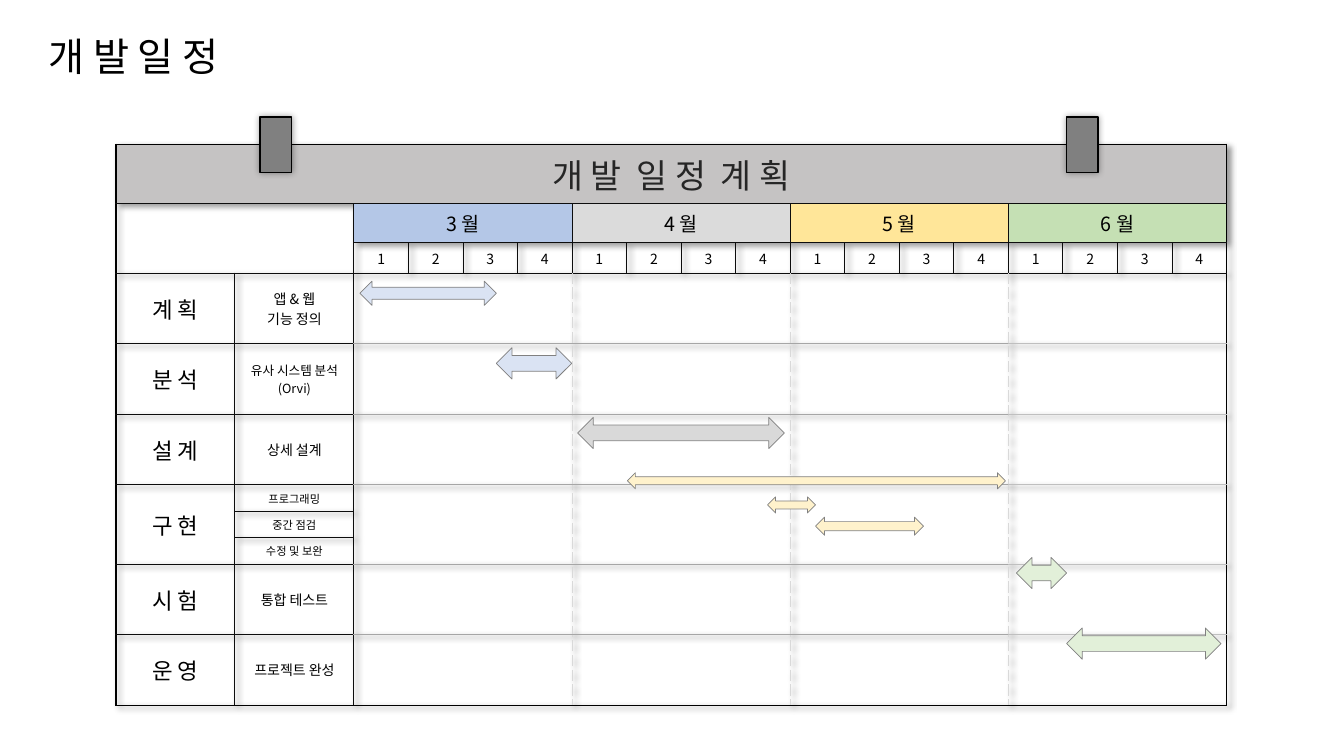
import pptx
import pptx.util
import pptx.dml.color
import pptx.enum.shapes
import pptx.enum.text
import pptx.oxml.ns
from lxml import etree

RGB = pptx.dml.color.RGBColor
INCH, PT = pptx.util.Inches, pptx.util.Pt
ALIGN = pptx.enum.text.PP_ALIGN
MIDDLE = pptx.enum.text.MSO_ANCHOR.MIDDLE
SHAPE = pptx.enum.shapes.MSO_SHAPE
qn = pptx.oxml.ns.qn

FONT = "Noto Sans CJK KR"
BLACK = RGB(0, 0, 0)
INK = RGB(0x0D, 0x0D, 0x0D)
DARK = RGB(0x26, 0x26, 0x26)
GRAY = RGB(0x80, 0x80, 0x80)
BAND = RGB(0xC5, 0xC3, 0xC3)
BLUE = RGB(0xDA, 0xE3, 0xF3)
SILVER = RGB(0xD9, 0xD9, 0xD9)
CREAM = RGB(0xFF, 0xF2, 0xCC)
MINT = RGB(0xE2, 0xF0, 0xD9)

TITLE = "개 발 일 정"
HEAD = "개 발  일 정  계 획"
MONTHS = [
    ("3 월", RGB(0xB4, 0xC7, 0xE7)),
    ("4 월", RGB(0xDB, 0xDB, 0xDB)),
    ("5 월", RGB(0xFF, 0xE6, 0x99)),
    ("6 월", RGB(0xC5, 0xE0, 0xB4)),
]
# phase, tasks, task text size
PHASES = [
    ("계 획", ["앱 & 웹\n기능 정의"], 10),
    ("분 석", ["유사 시스템 분석\n(Orvi)"], 9),
    ("설 계", ["상세 설계"], 10),
    ("구 현", ["프로그래밍", "중간 점검", "수정 및 보완"], 8),
    ("시 험", ["통합 테스트"], 10),
    ("운 영", ["프로젝트 완성"], 10),
]
# first week, last week, top, height, colour
BARS = [
    (0.11, 2.61, 2.79, 0.24, BLUE),
    (2.61, 3.99, 3.45, 0.31, BLUE),
    (4.1, 7.89, 4.14, 0.31, SILVER),
    (13.06, 15.89, 6.23, 0.31, MINT),
    (5.01, 11.94, 4.69, 0.16, CREAM),
    (7.58, 8.46, 4.93, 0.16, CREAM),
    (8.46, 10.44, 5.13, 0.18, CREAM),
    (12.14, 13.06, 5.53, 0.31, MINT),
]
CLIPS = [2.58, 10.58]

LEFT, TOP, WIDTH = 1.15, 1.43, 11.02
LABEL = 1.18
WEEK = (WIDTH - 2 * LABEL) / 16
ROWS = [0.59, 0.39, 0.3] + [0.7] * 3 + [0.26] * 3 + [0.7] * 2
COLS = [LABEL] * 2 + [WEEK] * 16
NO_STYLE = "{2D5ABB26-0587-4C30-8999-92F81FD0307C}"

OUTER, INNER = (BLACK, 1, "solid"), (INK, 0.75, "solid")
DASH = (SILVER, 0.75, "dash")
SOFT = (RGB(0xA6, 0xA6, 0xA6), 0.75, "solid")
PALE = (RGB(0xBF, 0xBF, 0xBF), 1, "solid")


def style(frame, size, color, align):
    for para in frame.paragraphs:
        para.alignment = align
        for run in para.runs:
            run.font.size, run.font.name = PT(size), FONT
            run.font.color.rgb = color
            latin = run.font._element.find(qn("a:latin"))
            latin.addnext(latin.makeelement(qn("a:ea"), {"typeface": FONT}))


def shade(effects, blur, dist, angle):
    drop = etree.SubElement(
        effects, qn("a:outerShdw"), blurRad=str(PT(blur)), dist=str(PT(dist)),
        dir=str(angle * 60000), algn="tl", rotWithShape="0")
    tone = etree.SubElement(drop, qn("a:srgbClr"), val=str(BLACK))
    etree.SubElement(tone, qn("a:alpha"), val="40000")


def upright(row, col):
    """Line on the left edge of a grid cell, or None inside a merged one."""
    if col in (0, 18):
        return OUTER
    if row == 0:
        return None
    if col == 2 or (col == 1 and row > 2):
        return INNER
    if col in (6, 10, 14):
        return INNER if row < 3 else DASH
    return INNER if row == 2 and col > 2 else None


def level(row, col):
    """Line on the top edge of a grid cell, or None inside a merged one."""
    if row in (0, 11):
        return OUTER
    if row in (1, 3):
        return INNER
    if row == 2:
        return INNER if col > 1 else None
    if row in (7, 8):
        return INNER if col == 1 else None
    return INNER if col < 2 else SOFT if col < 14 else PALE


def edge(cell, row, col):
    """Draw the four borders, at the far ends of the span if merged."""
    high, wide = (cell.span_height, cell.span_width) if cell.is_merge_origin else (1, 1)
    props = cell._tc.get_or_add_tcPr()
    lines = [("lnL", upright(row, col)), ("lnR", upright(row, col + wide)),
             ("lnT", level(row, col)), ("lnB", level(row + high, col))]
    kept = [(tag, line) for tag, line in lines if line]
    for spot, (tag, (color, width, dash)) in enumerate(kept):
        ln = props.makeelement(qn("a:" + tag), {"w": str(PT(width))})
        props.insert(spot, ln)
        fill = etree.SubElement(ln, qn("a:solidFill"))
        etree.SubElement(fill, qn("a:srgbClr"), val=str(color))
        etree.SubElement(ln, qn("a:prstDash"), val=dash)


def put(cell, text, size, color=BLACK, fill=None):
    cell.text_frame.text = text
    cell.vertical_anchor = MIDDLE
    style(cell.text_frame, size, color, ALIGN.CENTER)
    if fill is not None:
        cell.fill.solid()
        cell.fill.fore_color.rgb = fill


def plan(slide):
    frame = slide.shapes.add_table(
        len(ROWS), len(COLS), INCH(LEFT), INCH(TOP), INCH(WIDTH), INCH(sum(ROWS)))
    table = frame.table
    table.first_row = table.horz_banding = False
    props = table._tbl.tblPr
    props.find(qn("a:tableStyleId")).text = NO_STYLE
    effects = props.makeelement(qn("a:effectLst"), {})
    props.insert(0, effects)
    shade(effects, 4, 3, 45)
    for row, high in zip(table.rows, ROWS):
        row.height = INCH(high)
    for col, wide in zip(table.columns, COLS):
        col.width = INCH(wide)
    for cell in table.iter_cells():
        cell.fill.background()
        etree.SubElement(cell.text_frame.paragraphs[0]._p,
                         qn("a:endParaRPr"), sz="800")

    def merge(row, col, high, wide):
        cell = table.cell(row, col)
        if high * wide > 1:
            cell.merge(table.cell(row + high - 1, col + wide - 1))
        return cell

    put(merge(0, 0, 1, 18), HEAD, 24, DARK, BAND)
    merge(1, 0, 2, 2)
    starts = range(2, 18, 4)
    for col, (month, fill) in zip(starts, MONTHS):
        put(merge(1, col, 1, 4), month, 14, fill=fill)
        for week in range(4):
            put(table.cell(2, col + week), str(week + 1), 10)
    row = 3
    for phase, tasks, size in PHASES:
        put(merge(row, 0, len(tasks), 1), phase, 16)
        for step, task in enumerate(tasks):
            put(table.cell(row + step, 1), task, size)
        for col in starts:
            merge(row, col, len(tasks), 4)
        row += len(tasks)
    for spot, cell in enumerate(table.iter_cells()):
        edge(cell, *divmod(spot, len(COLS)))


def draw(slide, kind, box, fill, line, width):
    shape = slide.shapes.add_shape(kind, *map(INCH, box))
    shape.shadow.inherit = False
    shape.fill.solid()
    shape.fill.fore_color.rgb = fill
    shape.line.color.rgb = line
    shape.line.width = PT(width)
    return shape


def main():
    deck = pptx.Presentation()
    deck.slide_width, deck.slide_height = INCH(13.33), INCH(7.5)
    slide = deck.slides.add_slide(deck.slide_layouts[5])
    title = slide.shapes.title
    title.left, title.top, title.width, title.height = map(INCH, (0.38, 0.27, 3.01, 0.57))
    title.text_frame.text = TITLE
    title.text_frame.vertical_anchor = MIDDLE
    style(title.text_frame, 28, BLACK, ALIGN.LEFT)
    plan(slide)
    for first, last, top, high, fill in BARS:
        left = LEFT + 2 * LABEL + first * WEEK
        box = (left, top, (last - first) * WEEK, high)
        draw(slide, SHAPE.LEFT_RIGHT_ARROW, box, fill, GRAY, 0.5)
    for left in CLIPS:
        clip = draw(slide, SHAPE.RECTANGLE, (left, 1.16, 0.31, 0.55), GRAY, BLACK, 1)
        shade(clip._element.spPr.find(qn("a:effectLst")), 5, 0, 0)
    deck.save("out.pptx")


if __name__ == "__main__":
    main()
